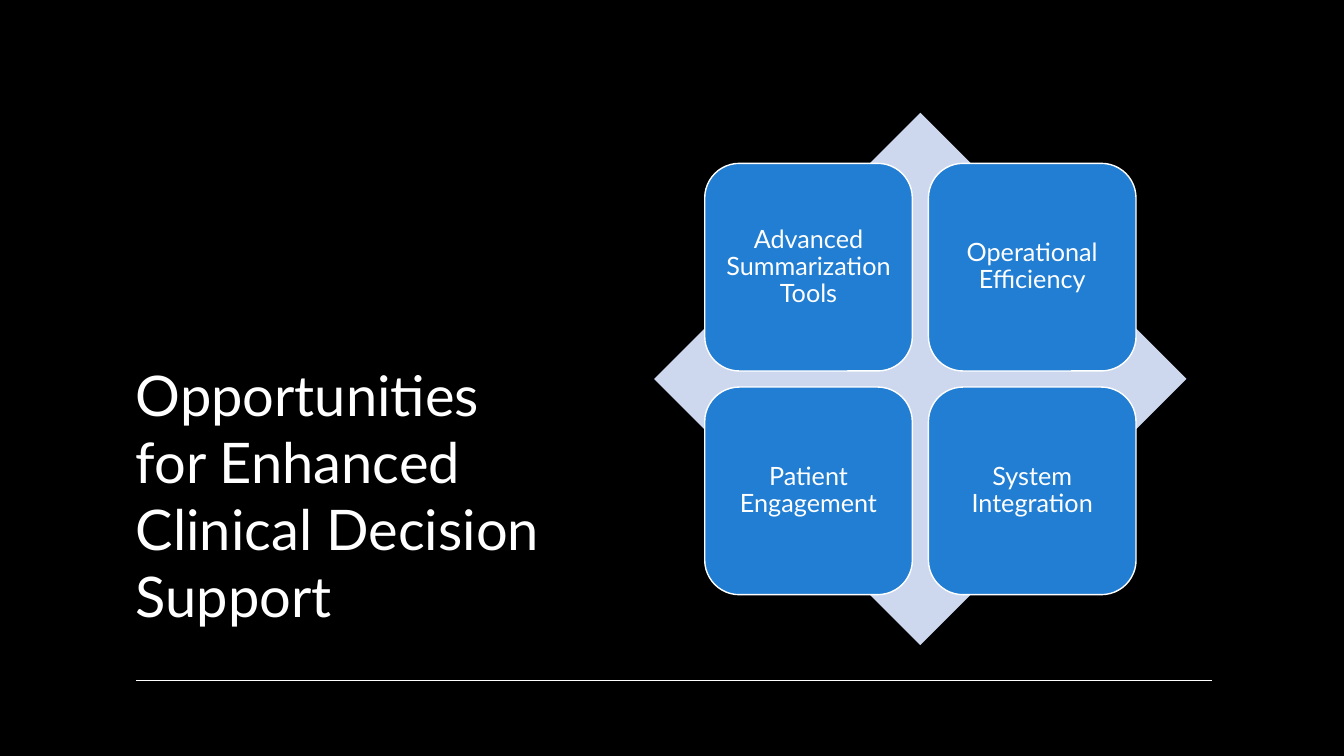
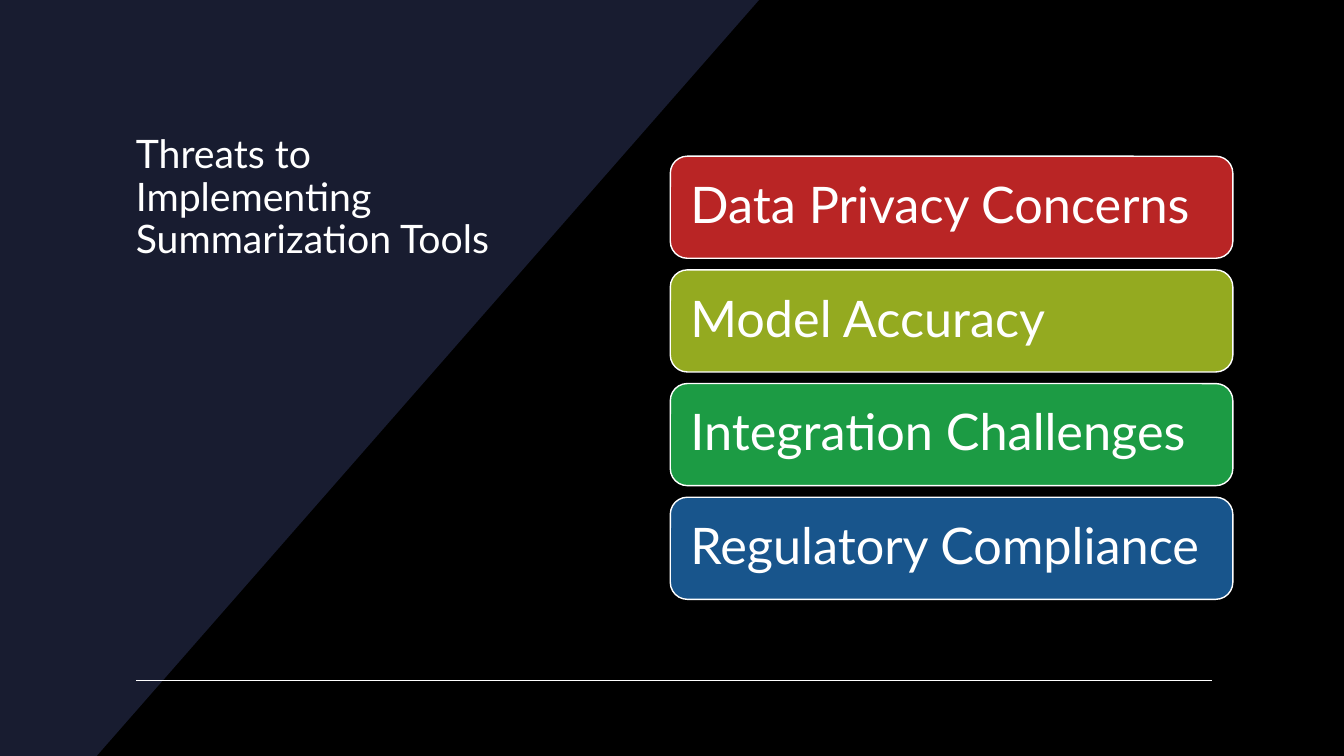
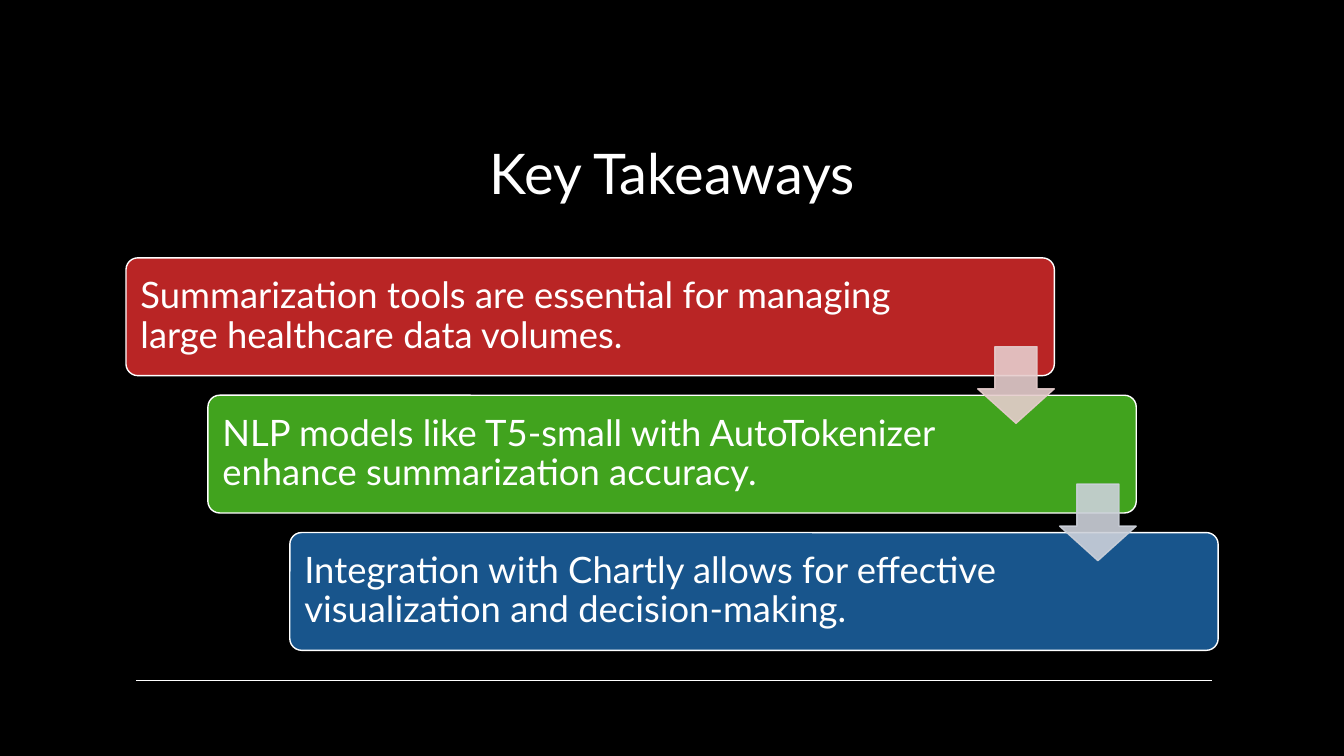
from lxml import etree
from pptx import Presentation
from pptx.dml.color import RGBColor
from pptx.enum import shapes, text
from pptx.oxml.ns import qn
from pptx.util import Pt

BLACK = RGBColor(0x00, 0x00, 0x00)
WHITE = RGBColor(0xFF, 0xFF, 0xFF)
NAVY = RGBColor(0x18, 0x1C, 0x30)
PALE = RGBColor(0xCD, 0xD8, 0xEF)
AZURE = RGBColor(0x21, 0x7E, 0xD3)
RED = RGBColor(0xB9, 0x25, 0x25)
OLIVE = RGBColor(0x94, 0xAA, 0x20)
GREEN = RGBColor(0x1C, 0x9B, 0x44)
LEAF = RGBColor(0x41, 0xA3, 0x1E)
BLUE = RGBColor(0x18, 0x55, 0x8C)
PINK = RGBColor(0xE6, 0xCD, 0xCD)
GREY = RGBColor(0xCC, 0xD1, 0xDA)

SHAPE = shapes.MSO_SHAPE
ALIGN = text.PP_ALIGN
ANCHOR = text.MSO_ANCHOR


class Deck:
    """Holds the shared style and the current slide."""

    font = "Lato"
    width, height = 960, 540

    def __init__(self):
        self.prs = Presentation()
        self.prs.slide_width = Pt(self.width)
        self.prs.slide_height = Pt(self.height)

    def slide(self):
        self.s = self.prs.slides.add_slide(self.prs.slide_layouts[6])
        fill = self.s.background.fill
        fill.solid()
        fill.fore_color.rgb = BLACK

    def rule(self):
        line = self.s.shapes.add_connector(
            shapes.MSO_CONNECTOR.STRAIGHT, Pt(97.2), Pt(486), Pt(865.4), Pt(486))
        line.line.color.rgb = WHITE
        line.line.width = Pt(1)
        etree.SubElement(line._element.spPr, qn("a:effectLst"))

    def paint(self, sp, fill, line=None):
        sp.shadow.inherit = False
        sp.fill.solid()
        sp.fill.fore_color.rgb = fill
        if line is None:
            sp.line.fill.background()
        else:
            sp.line.color.rgb = line
            sp.line.width = Pt(1)

    def label(self, sp, words, size, align, anchor, spacing):
        tf = sp.text_frame
        tf.word_wrap = True
        tf.vertical_anchor = anchor
        tf.text = words
        p = tf.paragraphs[0]
        p.alignment = align
        p.line_spacing = spacing
        f = p.runs[0].font
        f.name, f.size, f.color.rgb = self.font, Pt(size), WHITE

    def title(self, words, x, y, w, h, size=40, align=ALIGN.LEFT,
              anchor=ANCHOR.BOTTOM, spacing=1.0):
        sp = self.s.shapes.add_textbox(Pt(x), Pt(y), Pt(w), Pt(h))
        self.label(sp, words, size, align, anchor, spacing)
        self.rule()

    def shape(self, kind, x, y, w, h, fill, line=None, adjust=()):
        sp = self.s.shapes.add_shape(kind, Pt(x), Pt(y), Pt(w), Pt(h))
        for i, value in enumerate(adjust):
            sp.adjustments[i] = value
        self.paint(sp, fill, line)
        return sp

    def card(self, words, x, y, w, h, fill, size, inset, right=None,
             align=ALIGN.LEFT, adjust=()):
        sp = self.shape(SHAPE.ROUNDED_RECTANGLE, x, y, w, h, fill, WHITE, adjust)
        self.label(sp, words, size, align, ANCHOR.MIDDLE, 0.9)
        tf = sp.text_frame
        tf.margin_left = tf.margin_top = tf.margin_bottom = Pt(inset)
        tf.margin_right = Pt(right or inset)

    def arrow(self, x, y, size, color):
        sp = self.shape(SHAPE.DOWN_ARROW, x, y, size, size, color, color, (0.55, 0.45))
        for clr in sp._element.spPr.iter(qn("a:srgbClr")):
            etree.SubElement(clr, qn("a:alpha"), val="90000")

    def outline(self, points, fill):
        start, *rest = [(Pt(x), Pt(y)) for x, y in points]
        builder = self.s.shapes.build_freeform(*start)
        builder.add_line_segments(rest, close=True)
        self.paint(builder.convert_to_shape(), fill)


def opportunities(d):
    d.slide()
    d.title("Opportunities for Enhanced Clinical Decision Support", 90, 92.9, 306.7, 360)
    d.shape(SHAPE.DIAMOND, 467.3, 80.6, 380.2, 380.2, PALE)
    tiles = ["Advanced Summarization Tools", "Operational Efficiency",
             "Patient Engagement", "System Integration"]
    for i, words in enumerate(tiles):
        row, col = divmod(i, 2)
        d.card(words, 503.4 + col * 159.8, 116.7 + row * 159.8, 148.3, 148.3,
               AZURE, 18, 5, align=ALIGN.CENTER)


def threats(d):
    d.slide()
    d.outline([(0, 0), (542.2, 0), (69.1, d.height), (0, d.height)], NAVY)
    d.title("Threats to Implementing Summarization Tools", 90, 92.9, 278, 123,
            size=28, anchor=ANCHOR.TOP, spacing=0.9)
    bars = [("Data Privacy Concerns", RED), ("Model Accuracy", OLIVE),
            ("Integration Challenges", GREEN), ("Regulatory Compliance", BLUE)]
    for i, (words, color) in enumerate(bars):
        d.card(words, 478.8, 111.6 + i * 81.2, 401.8, 72.9, color, 36, 10.8)


def takeaways(d):
    d.slide()
    d.title("Key Takeaways", 138.2, 71.3, 684, 79.2, align=ALIGN.CENTER)
    steps = [
        ("Summarization tools are essential for managing large healthcare data volumes.", RED),
        ("NLP models like T5-small with AutoTokenizer enhance summarization accuracy.", LEAF),
        ("Integration with Chartly allows for effective visualization and decision-making.", BLUE),
    ]
    dx, dy = 58.5, 98.1
    for i, (words, color) in enumerate(steps):
        d.card(words, 90 + i * dx, 184.2 + i * dy, 663.1, 84.1, color, 26, 7.9,
               right=94, adjust=(0.1,))
    for i, color in enumerate([PINK, GREY]):
        d.arrow(698.4 + i * dx, 247.7 + i * dy, 54.7, color)


def main():
    d = Deck()
    for build in (opportunities, threats, takeaways):
        build(d)
    d.prs.save("out.pptx")


if __name__ == "__main__":
    main()
